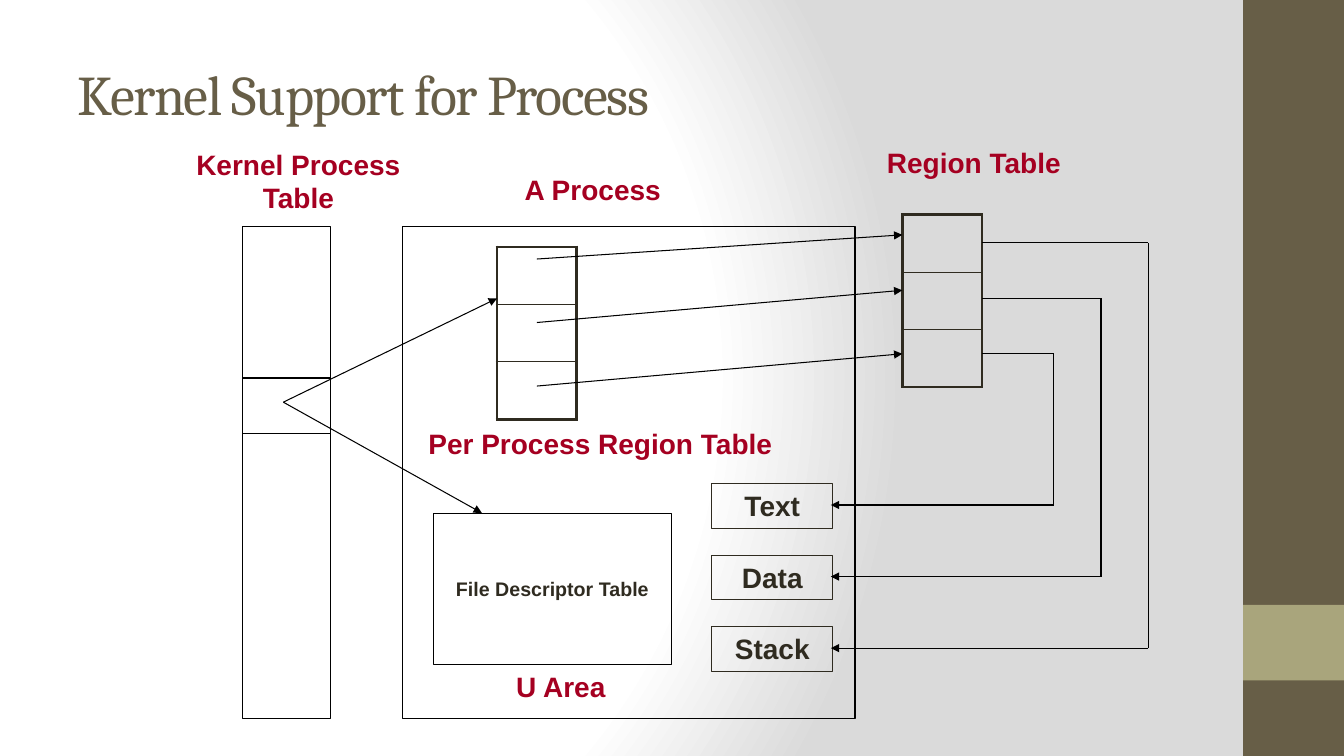
from itertools import pairwise

from lxml import etree
from pptx import Presentation
from pptx import util as u
from pptx.dml.color import RGBColor
from pptx.enum import shapes, text
from pptx.oxml import parse_xml
from pptx.oxml.ns import nsdecls, qn

THEME = dict(
    brown="675E47", khaki="A9A57C", ink="2F2B20", line="000000", label="A50021",
    white="FFFFFF", grey="DADADA", heading="Cambria", body="Arial",
    title_size=40, label_size=20, note_size=14, thin=0.75, inner=1, heavy=2.25,
)
WIDTH, HEIGHT = 13.33, 7.5

TITLE = "Kernel Support for Process"
LABELS = [  # wording, (left, top, width, height), wraps
    ("Per Process Region Table", (4.15, 4.18, 3.63, 0.43), False),
    ("Kernel Process Table", (1.78, 1.41, 2.36, 0.77), True),
    ("Region Table", (8.48, 1.39, 2.36, 0.44), True),
    ("A Process", (4.7, 1.66, 2.36, 0.43), True),
    ("U Area", (5.02, 6.59, 1.1, 0.43), False),
]
SEGMENTS = ["Text", "Data", "Stack"]
U_AREA = ("File Descriptor Table", (4.3, 5.09, 2.36, 1.5))
KERNEL_TABLE = (2.41, 2.25, 0.87, 4.88)
KERNEL_ENTRY_EDGES = (3.75, 4.3)
ENTRY_POINT = (2.81, 3.99)
PROCESS = (3.99, 2.25, 4.49, 4.88)

REGION_ROWS, REGION_WIDTH, ROW_HEIGHT = 3, 0.79, 0.57
PROCESS_REGIONS = (4.93, 2.45)
REGION_TABLE = (8.95, 2.13)
LINK_START, LINK_PITCH = 2.57, 0.63
LINK_ENDS = (2.33, 2.88, 3.51)
SEGMENT_BOX, SEGMENT_PITCH = (7.06, 4.8, 1.2, 0.44), 0.71
SEGMENT_ARROW_X, SEGMENT_ARROW_DROP = 8.24, 0.21
LANE_X, LANE_PITCH = 10.45, 0.47
EXIT_Y, EXIT_PITCH = 3.51, 0.55

deck = Presentation()
deck.slide_width, deck.slide_height = u.Inches(WIDTH), u.Inches(HEIGHT)
slide = deck.slides.add_slide(deck.slide_layouts[6])


def inches(values):
    """Turn plain numbers into lengths."""
    return [u.Inches(value) for value in values]


def colour(name):
    """Look up a theme colour."""
    return RGBColor.from_string(THEME[name])


def write(frame, words, font="body", size="label_size", ink="label", bold=True,
          align="CENTER", anchor="TOP", wrap=True, spacing=None):
    """Put one formatted paragraph into a text frame."""
    frame.word_wrap = wrap
    frame.vertical_anchor = getattr(text.MSO_ANCHOR, anchor)
    paragraph = frame.paragraphs[0]
    paragraph.alignment = getattr(text.PP_ALIGN, align)
    run = paragraph.add_run()
    run.text = words
    run.font.name, run.font.size = THEME[font], u.Pt(THEME[size])
    run.font.bold, run.font.color.rgb = bold, colour(ink)
    if spacing is not None:
        run.font._element.set("spc", str(int(spacing * 100)))


def add_text(words, place, **style):
    """Add a text box."""
    write(slide.shapes.add_textbox(*inches(place)).text_frame, words, **style)


def add_box(place, fill=None, outline=None):
    """Add a rectangle with an optional fill and outline."""
    box = slide.shapes.add_shape(shapes.MSO_SHAPE.RECTANGLE, *inches(place))
    box.shadow.inherit = False
    if fill:
        box.fill.solid()
        box.fill.fore_color.rgb = colour(fill)
    else:
        box.fill.background()
    if outline:
        box.line.color.rgb = colour(outline)
        box.line.width = u.Pt(THEME["thin"])
    else:
        box.line.fill.background()
    return box


def add_route(*points, arrow=True):
    """Join points with straight lines, with an arrowhead on the last."""
    for start, end in pairwise(points):
        link = slide.shapes.add_connector(
            shapes.MSO_CONNECTOR.STRAIGHT, *inches(start + end))
        link.line.color.rgb = colour("line")
        link.line.width = u.Pt(THEME["thin"])
        etree.SubElement(link._element.spPr, qn("a:effectLst"))
    if arrow:
        etree.SubElement(link.line._get_or_add_ln(), qn("a:tailEnd"), type="triangle")


def add_regions(corner):
    """Add an empty one-column table with a heavy frame and thin row lines."""
    size = (REGION_WIDTH, REGION_ROWS * ROW_HEIGHT)
    table = slide.shapes.add_table(REGION_ROWS, 1, *inches(corner + size)).table
    table.first_row = table.horz_banding = False
    for index, row in enumerate(table.rows):
        row.height = u.Inches(ROW_HEIGHT)
        cell = row.cells[0]
        cell.fill.background()
        weights = {
            "L": "heavy", "R": "heavy",
            "T": "heavy" if index == 0 else "inner",
            "B": "heavy" if index == REGION_ROWS - 1 else "inner",
        }
        for order, (side, weight) in enumerate(weights.items()):
            border = parse_xml(
                f'<a:ln{side} {nsdecls("a")} w="{u.Pt(THEME[weight])}"><a:solidFill>'
                f'<a:srgbClr val="{THEME["ink"]}"/></a:solidFill></a:ln{side}>')
            cell._tc.get_or_add_tcPr().insert(order, border)


def paint_background():
    """Fill the slide with a radial gradient from white to grey."""
    stops = "".join(
        f'<a:gs pos="{share * 1000}"><a:srgbClr val="{THEME[name]}"/></a:gs>'
        for share, name in ((0, "white"), (75, "white"), (100, "grey")))
    slide._element.cSld.insert(0, parse_xml(
        f'<p:bg {nsdecls("p", "a")}><p:bgPr><a:gradFill rotWithShape="1">'
        f'<a:gsLst>{stops}</a:gsLst><a:path path="circle">'
        '<a:fillToRect l="20000" t="50000" r="100000" b="50000"/></a:path>'
        '</a:gradFill><a:effectLst/></p:bgPr></p:bg>'))


paint_background()
add_box((WIDTH - 1, 0, 1, HEIGHT), fill="brown")
add_box((WIDTH - 1, 0.8 * HEIGHT, 1, 0.1 * HEIGHT), fill="khaki")
add_text(TITLE, (0.67, 0.3, 11.11, 1.25), font="heading", size="title_size",
         ink="brown", bold=False, align="LEFT", anchor="MIDDLE", spacing=-1)

add_regions(PROCESS_REGIONS)
add_regions(REGION_TABLE)
add_box(KERNEL_TABLE, outline="line")
add_box(PROCESS, outline="line")
file_table, u_area_place = U_AREA
write(add_box(u_area_place, outline="line").text_frame, file_table,
      size="note_size", ink="ink", anchor="MIDDLE", wrap=False)

kernel_left, kernel_right = KERNEL_TABLE[0], KERNEL_TABLE[0] + KERNEL_TABLE[2]
for edge in KERNEL_ENTRY_EDGES:
    add_route((kernel_left, edge), (kernel_right, edge), arrow=False)
for target in ((PROCESS_REGIONS[0], 2.96), (4.78, u_area_place[1])):
    add_route(ENTRY_POINT, target)

link_x = PROCESS_REGIONS[0] + REGION_WIDTH / 2
exit_x = REGION_TABLE[0] + REGION_WIDTH
box_left, box_top, *box_size = SEGMENT_BOX
for index, (segment, link_end) in enumerate(zip(SEGMENTS, LINK_ENDS)):
    add_route((link_x, LINK_START + index * LINK_PITCH), (REGION_TABLE[0], link_end))
    top = box_top + index * SEGMENT_PITCH
    write(add_box((box_left, top, *box_size), outline="ink").text_frame,
          segment, ink="ink")
    lane = LANE_X + index * LANE_PITCH
    exit_y = EXIT_Y - index * EXIT_PITCH
    entry_y = top + SEGMENT_ARROW_DROP
    add_route((exit_x, exit_y), (lane, exit_y), (lane, entry_y),
              (SEGMENT_ARROW_X, entry_y))

for words, place, wraps in LABELS:
    add_text(words, place, wrap=wraps, align="CENTER" if wraps else "LEFT")

deck.save("out.pptx")
